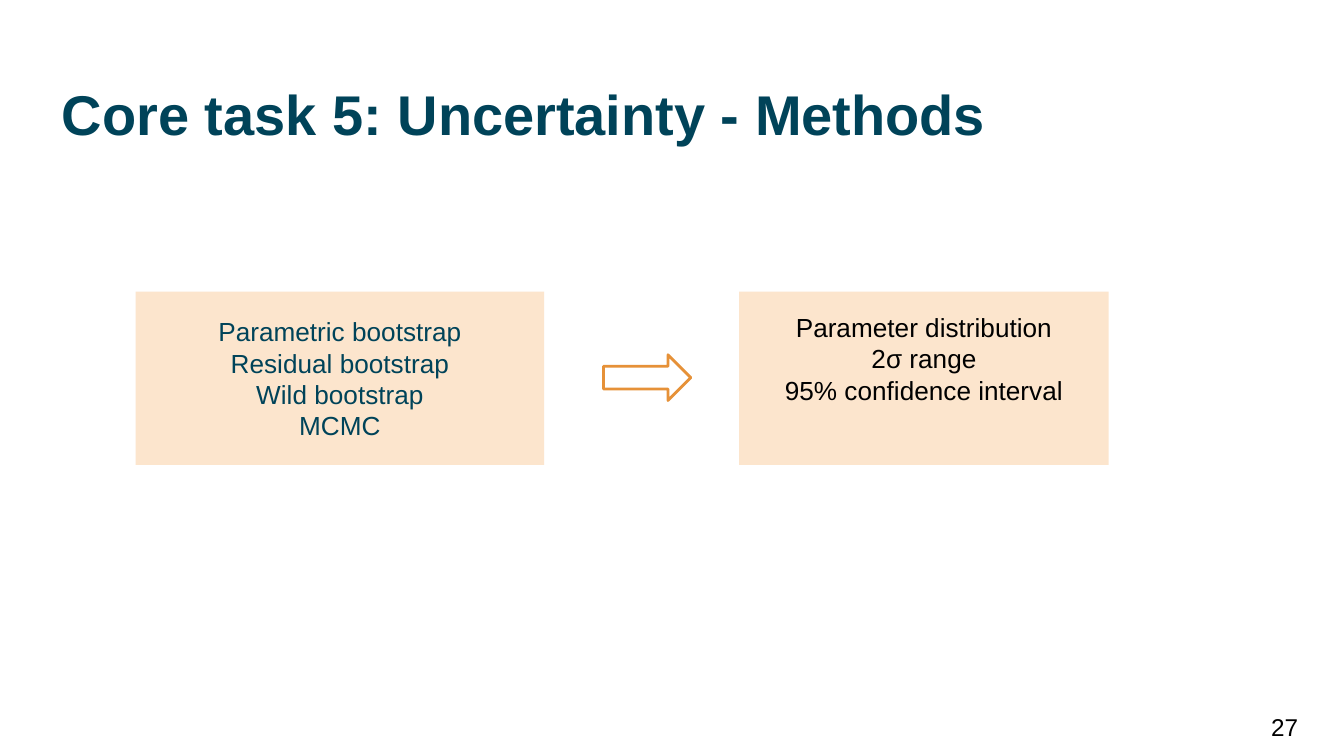
import pptx
import pptx.util
import pptx.dml.color
import pptx.enum.shapes
import pptx.enum.text

Inches, Pt = pptx.util.Inches, pptx.util.Pt
RGBColor = pptx.dml.color.RGBColor
MSO_SHAPE = pptx.enum.shapes.MSO_SHAPE
ANCHOR = pptx.enum.text.MSO_ANCHOR
ALIGN = pptx.enum.text.PP_ALIGN

TEAL = RGBColor(0x00, 0x43, 0x59)
PEACH = RGBColor(0xFC, 0xE5, 0xCD)
ORANGE = RGBColor(0xE6, 0x91, 0x38)
BLACK = RGBColor(0x00, 0x00, 0x00)


def write(s, lines, size, color, align, anchor, bold=False, top=0.1, bottom=0.1):
    """Fill a shape with one paragraph per line."""
    tf = s.text_frame
    tf.word_wrap = True
    tf.auto_size = pptx.enum.text.MSO_AUTO_SIZE.NONE
    tf.vertical_anchor = anchor
    tf.margin_left = tf.margin_right = Inches(0.1)
    tf.margin_top, tf.margin_bottom = Inches(top), Inches(bottom)
    tf.text = "\n".join(lines)
    for p in tf.paragraphs:
        p.alignment = align
        p.font.name = "Arial"
        p.font.size = Pt(size)
        p.font.bold = bold
        p.font.color.rgb = color


# 16:9 slide
prs = pptx.Presentation()
prs.slide_width = Inches(10)
prs.slide_height = prs.slide_width * 9 // 16
slide = prs.slides.add_slide(prs.slide_layouts[5])

# Title
title = slide.shapes.title
title.left, title.top = Inches(0.36), Inches(0.54)
title.width, title.height = Inches(9.28), Inches(0.56)
write(title, ["Core task 5: Uncertainty - Methods"], 30, TEAL,
      ALIGN.LEFT, ANCHOR.TOP, bold=True, top=0.05, bottom=0.05)

# Methods and results; the results text sits above the middle of its box
boxes = [
    (1.01, 3.04, TEAL, 0.1,
     ["Parametric bootstrap", "Residual bootstrap", "Wild bootstrap", "MCMC"]),
    (5.5, 2.75, BLACK, 0.4,
     ["Parameter distribution", "2σ range", "95% confidence interval"]),
]
for left, width, color, bottom, lines in boxes:
    s = slide.shapes.add_shape(MSO_SHAPE.RECTANGLE, Inches(left), Inches(2.17),
                               Inches(width), Inches(1.29))
    s.shadow.inherit = False
    s.fill.solid()
    s.fill.fore_color.rgb = PEACH
    s.line.fill.background()
    write(s, lines, 14, color, ALIGN.CENTER, ANCHOR.MIDDLE, bottom=bottom)

# Arrow from methods to results
arrow = slide.shapes.add_shape(MSO_SHAPE.RIGHT_ARROW, Inches(4.49), Inches(2.64),
                               Inches(0.65), Inches(0.34))
arrow.shadow.inherit = False
arrow.fill.background()
arrow.line.color.rgb = ORANGE
arrow.line.width = Pt(1.5)

# Slide number
number = slide.shapes.add_textbox(Inches(9.36), Inches(5.19), Inches(0.6), Inches(0.43))
write(number, ["27"], 13, BLACK, ALIGN.LEFT, ANCHOR.MIDDLE)

prs.save("out.pptx")
